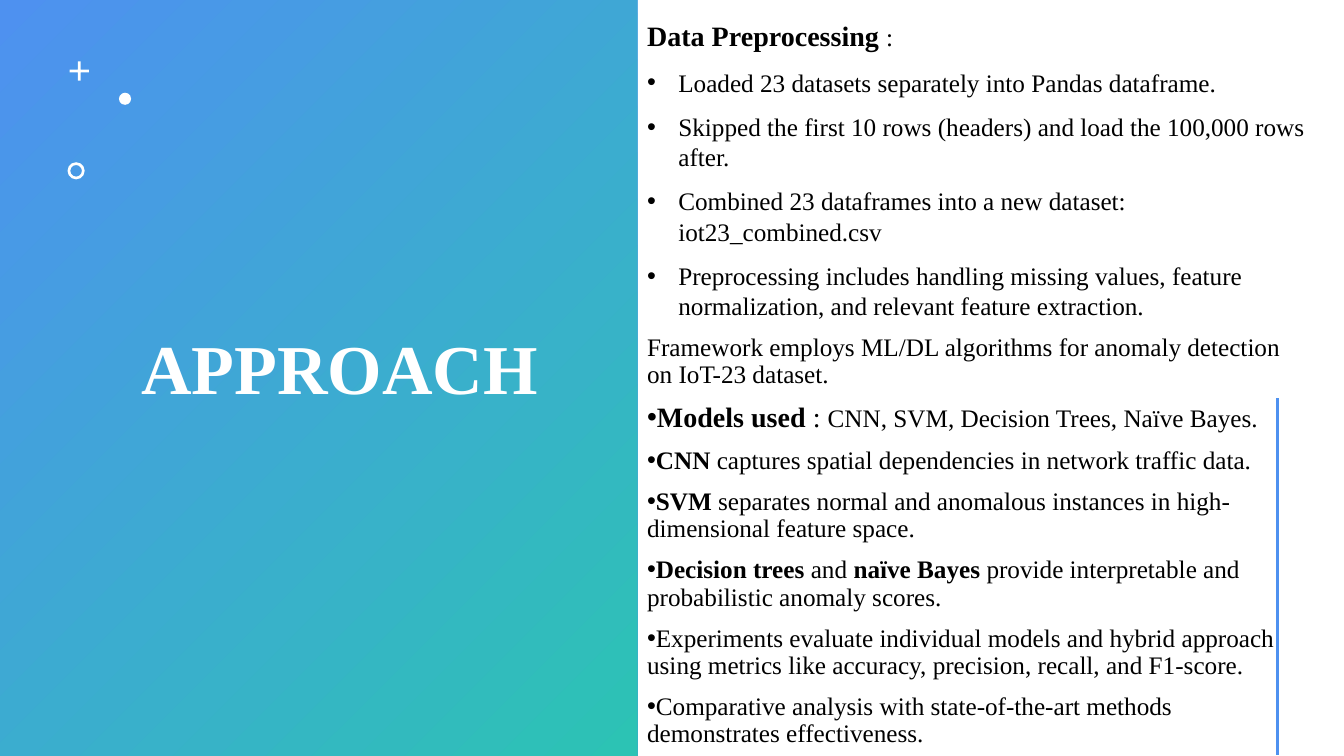
from pptx import Presentation
from pptx.dml.color import RGBColor
from pptx.enum.shapes import MSO_CONNECTOR, MSO_SHAPE
from pptx.enum.text import MSO_ANCHOR, MSO_AUTO_SIZE, PP_ALIGN
from pptx.oxml.ns import qn
from pptx.util import Inches, Pt
from lxml import etree

# Theme
THEME = {
    "font": "Times New Roman",
    "blue": RGBColor(0x4E, 0x91, 0xF0),
    "teal": RGBColor(0x2C, 0xC3, 0xB4),
    "white": RGBColor(0xFF, 0xFF, 0xFF),
    "black": RGBColor(0, 0, 0),
    "title": 50, "heading": 20, "body": 18,
}

# Content: paragraph style, then runs of (text, bold, size)
TITLE = "APPROACH"
HEAD, BODY = THEME["heading"], THEME["body"]
PARAGRAPHS = [
    ("plain", [("Data Preprocessing ", True, HEAD), (":", False, BODY)]),
    ("list", [("Loaded 23 datasets separately into Pandas dataframe.", False, BODY)]),
    ("list", [("Skipped the first 10 rows (headers) and load the 100,000 rows after. ", False, BODY)]),
    ("list", [("Combined 23 dataframes into a new dataset: iot23_combined.csv", False, BODY)]),
    ("list", [("Preprocessing includes handling missing values, feature normalization, "
               "and relevant feature extraction.", False, BODY)]),
    ("plain", [("Framework employs ML/DL algorithms for anomaly detection on IoT-23 dataset.",
                False, BODY)]),
    ("tight", [("Models used ", True, HEAD), (": ", False, HEAD),
               ("CNN, SVM, Decision Trees, Naïve Bayes.", False, BODY)]),
    ("tight", [("CNN", True, BODY),
               (" captures spatial dependencies in network traffic data.", False, BODY)]),
    ("tight", [("SVM", True, BODY),
               (" separates normal and anomalous instances in high-dimensional feature space.",
                False, BODY)]),
    ("tight", [("Decision trees ", True, BODY), ("and ", False, BODY),
               ("naïve Bayes ", True, BODY),
               ("provide interpretable and probabilistic anomaly scores.", False, BODY)]),
    ("tight", [("Experiments evaluate individual models and hybrid approach using metrics like "
                "accuracy, precision, recall, and F1-score.", False, BODY)]),
    ("tight", [("Comparative analysis with state-of-the-art methods demonstrates effectiveness.",
                False, BODY)]),
]
# Style: (line spacing, left margin, first-line indent, bullet)
STYLES = {
    "plain": (0.9, 0, 0, False),
    "list": (1.0, 0.31, -0.31, True),
    "tight": (0.9, 0, -0.25, True),
}
# Ornaments: preset, left, top, size, adjustment
ORNAMENTS = [
    (MSO_SHAPE.CROSS, 0.69, 0.61, 0.19, 0.43),
    (MSO_SHAPE.OVAL, 1.18, 0.92, 0.12, None),
    (MSO_SHAPE.DONUT, 0.67, 1.61, 0.17, 0.16),
]


def add_plain_shape(preset, *box):
    shape = slide.shapes.add_shape(preset, *map(Inches, box))
    shape.shadow.inherit = False
    shape.line.fill.background()
    return shape


def set_frame(frame):
    frame.word_wrap = True
    frame.auto_size = MSO_AUTO_SIZE.NONE
    frame.vertical_anchor = MSO_ANCHOR.MIDDLE


def add_run(paragraph, text, bold, size, color):
    run = paragraph.add_run()
    run.text = text
    font = run.font
    font.name, font.size, font.bold = THEME["font"], Pt(size), bold
    font.color.rgb = color


def format_paragraph(paragraph, style):
    spacing, margin, indent, bullet = STYLES[style]
    paragraph.alignment = PP_ALIGN.LEFT
    paragraph.line_spacing = spacing
    paragraph.space_before = Pt(10)
    props = paragraph._p.get_or_add_pPr()
    props.set("marL", str(Inches(margin)))
    props.set("indent", str(Inches(indent)))
    if bullet:
        etree.SubElement(props, qn("a:buFont")).set("typeface", "Arial")
        etree.SubElement(props, qn("a:buChar")).set("char", "•")


prs = Presentation()
prs.slide_width, prs.slide_height = Inches(13.33), Inches(7.5)
slide = prs.slides.add_slide(prs.slide_layouts[5])

# Gradient panel, sent behind the title
panel = add_plain_shape(MSO_SHAPE.RECTANGLE, 0, 0, 6.32, 7.5)
panel.fill.gradient()
panel.fill.gradient_angle = 315
for stop, position, color in zip(panel.fill.gradient_stops, (0, 1), ("blue", "teal")):
    stop.position = position
    stop.color.rgb = THEME[color]
slide.shapes.title._element.addprevious(panel._element)

# Title
title = slide.shapes.title
title.left, title.top, title.width, title.height = map(Inches, (1.3, 0.42, 4.38, 6.53))
set_frame(title.text_frame)
heading = title.text_frame.paragraphs[0]
heading.alignment, heading.line_spacing = PP_ALIGN.LEFT, 0.9
add_run(heading, TITLE, True, THEME["title"], THEME["white"])

# Ornaments
for preset, left, top, size, adjustment in ORNAMENTS:
    ornament = add_plain_shape(preset, left, top, size, size)
    ornament.fill.solid()
    ornament.fill.fore_color.rgb = THEME["white"]
    if adjustment is not None:
        ornament.adjustments[0] = adjustment

# Approach text
frame = slide.shapes.add_textbox(*map(Inches, (6.32, 0.42, 6.74, 6.81))).text_frame
set_frame(frame)
for number, (style, runs) in enumerate(PARAGRAPHS):
    paragraph = frame.add_paragraph() if number else frame.paragraphs[0]
    format_paragraph(paragraph, style)
    for text, bold, size in runs:
        add_run(paragraph, text, bold, size, THEME["black"])

# Accent line
accent = slide.shapes.add_connector(
    MSO_CONNECTOR.STRAIGHT, *map(Inches, (12.67, 3.95, 12.67, 7.49)))
accent.line.color.rgb = THEME["blue"]
accent.line.width = Pt(2)
etree.SubElement(accent._element.spPr, qn("a:effectLst"))

prs.save("out.pptx")
